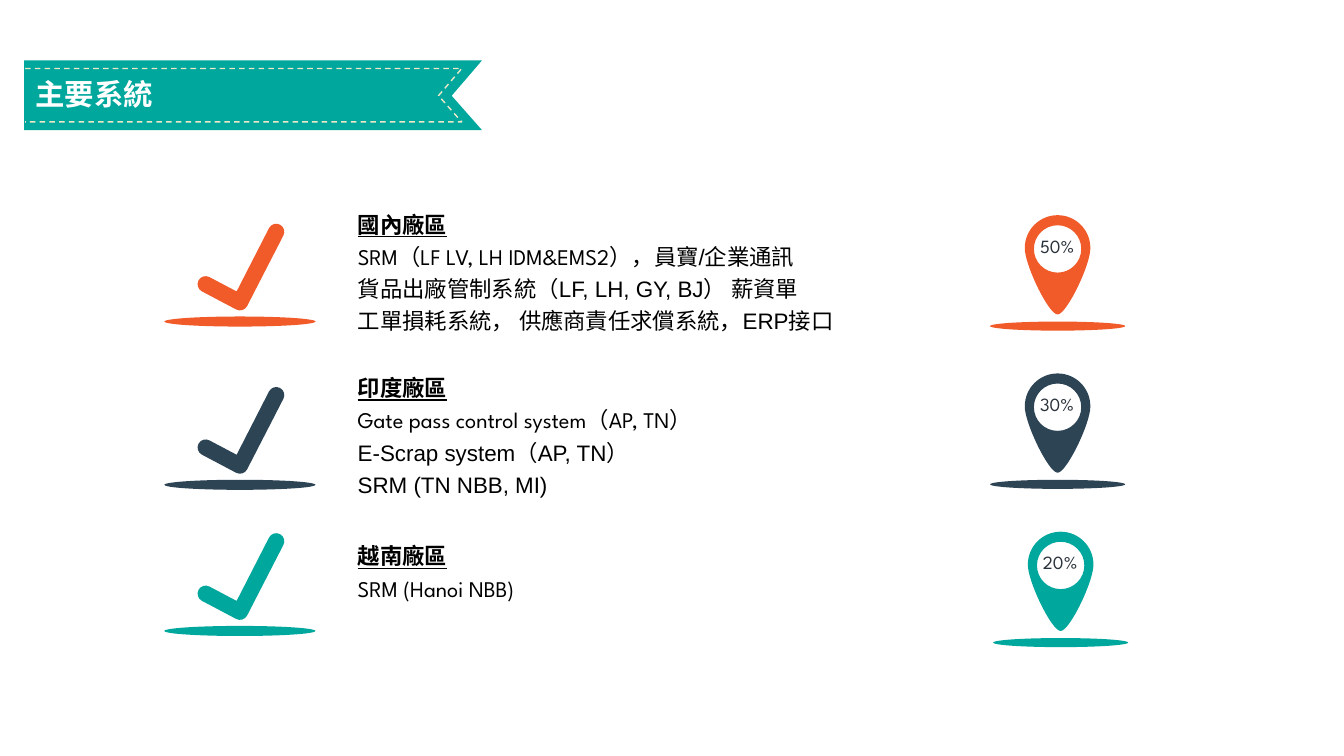
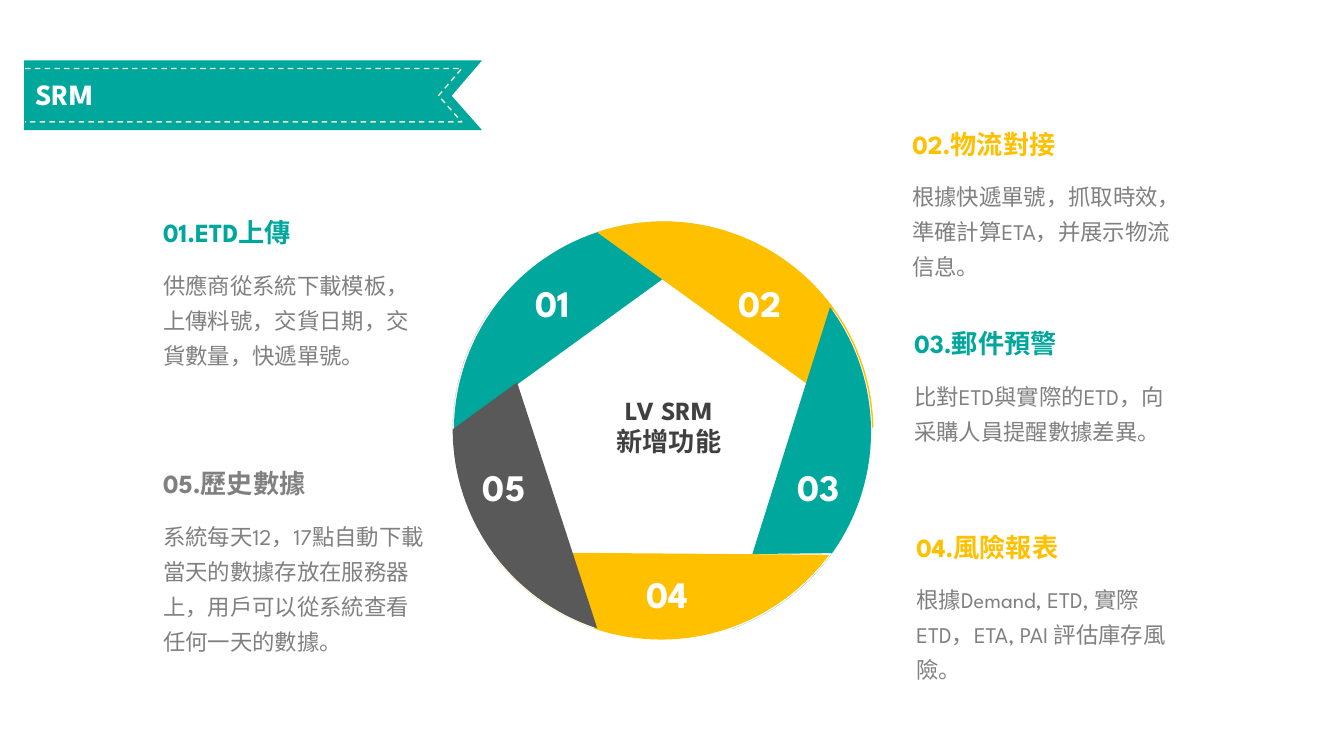
from math import cos, radians, sin, tan

from pptx import Presentation
from pptx.dml.color import RGBColor
from pptx.enum.dml import MSO_LINE
from pptx.enum.shapes import MSO_SHAPE
from pptx.enum.text import MSO_ANCHOR, MSO_AUTO_SIZE, PP_ALIGN
from pptx.oxml.ns import qn
from pptx.util import Emu, Pt

EMU_PER_PX = 9144
TITLE_ONLY = 5
FONT, FONT_PLAIN = "League Spartan", "Arial"
COLORS = {
    "teal": "00A79D",
    "orange": "F15A29",
    "navy": "2D4454",
    "yellow": "FFC000",
    "slate": "595959",
    "gray": "808080",
    "charcoal": "404040",
    "ink": "2A323B",
    "cream": "EDE8C7",
    "black": "000000",
    "white": "FFFFFF",
}


def px(n):
    return Emu(round(n * EMU_PER_PX))


def rgb(name):
    return RGBColor.from_string(COLORS[name])


def polar(cx, cy, radius, angle):
    a = radians(angle)
    return cx + radius * cos(a), cy + radius * sin(a)


def arc(cx, cy, radius, start, end, parts):
    """Start point, then curves of (control, control, end); degrees clockwise."""
    step = (end - start) / parts
    reach = radius * 4 / 3 * tan(radians(step) / 4)
    steps = [polar(cx, cy, radius, start)]
    for i in range(parts):
        a, b = start + i * step, start + (i + 1) * step
        p0, p3 = polar(cx, cy, radius, a), polar(cx, cy, radius, b)
        steps.append((polar(*p0, reach, a + 90), polar(*p3, reach, b - 90), p3))
    return steps


def is_curve(step):
    return isinstance(step[0], tuple)


class Deck:
    def __init__(self):
        self.prs = Presentation()
        self.prs.slide_width, self.prs.slide_height = px(1333), px(750)
        self.layout = self.prs.slide_layouts[TITLE_ONLY]
        title = self.layout.placeholders[0]
        title.left, title.top, title.width, title.height = map(px, (25, 71, 442, 45))
        self.slide = None

    def new_slide(self, title):
        self.slide = self.prs.slides.add_slide(self.layout)
        if len(self.prs.slides) == 1:
            self.add_banner_to_layout()
        tf = self.slide.shapes.title.text_frame
        tf.text = title
        tf.auto_size = MSO_AUTO_SIZE.NONE
        tf.vertical_anchor = MSO_ANCHOR.MIDDLE
        self.format_paragraph(tf.paragraphs[0], 21, "white", bold=True)

    def add_banner_to_layout(self):
        """Draw the ribbon once and move it to the layout, behind all slides."""
        ribbon = self.outline(
            [[(478, 129), (24, 129), (24, 60), (478, 60), (448, 95)]], "teal")
        stitch = self.outline(
            [[(25, 68), (458, 68), (435, 95), (458, 121), (25, 121)]],
            line="cream", close=False)
        stitch.line.dash_style = MSO_LINE.DASH
        for number, sp in enumerate((ribbon, stitch), 20):
            sp.element.nvSpPr.cNvPr.set("id", str(number))
            self.layout.shapes.element.append(sp.element)

    def paint(self, sp, fill=None, line=None):
        sp.shadow.inherit = False
        if fill:
            sp.fill.solid()
            sp.fill.fore_color.rgb = rgb(fill)
        else:
            sp.fill.background()
        if line:
            sp.line.color.rgb = rgb(line)
            sp.line.width = Pt(1)
        else:
            sp.line.fill.background()
        return sp

    def outline(self, contours, fill=None, line=None, close=True):
        """Draw one freeform of points and curves; an inner contour is a hole."""
        builder = None
        for start, *steps in contours:
            start = [px(n) for n in start]
            if builder is None:
                builder = self.slide.shapes.build_freeform(*start, scale=1.0)
            else:
                builder.move_to(*start)
            points = [p for s in steps for p in (s if is_curve(s) else [s])]
            builder.add_line_segments([(px(x), px(y)) for x, y in points], close=close)
        sp = builder.convert_to_shape()
        self.bend(sp, [s for contour in contours for s in contour[1:]])
        return self.paint(sp, fill, line)

    def bend(self, sp, steps):
        """Merge the three segments of each curve into one cubic segment."""
        outline = sp.element.find(".//" + qn("a:path"))
        segments = iter(outline.findall(qn("a:lnTo")))
        for step in steps:
            first = next(segments)
            if is_curve(step):
                first.tag = qn("a:cubicBezTo")
                for _ in range(2):
                    extra = next(segments)
                    first.append(extra[0])
                    outline.remove(extra)

    def ellipse(self, x, y, w, h, color):
        sp = self.slide.shapes.add_shape(MSO_SHAPE.OVAL, px(x), px(y), px(w), px(h))
        self.paint(sp, color)

    def format_paragraph(self, p, size, color, bold=False, underline=False,
                         align=PP_ALIGN.LEFT, spacing=None):
        p.alignment = align
        if spacing:
            p.line_spacing = spacing
        for r in p.runs:
            r.font.name, r.font.size = FONT, Pt(size)
            r.font.bold, r.font.underline = bold, underline
            r.font.color.rgb = rgb(color)

    def text(self, x, y, w, h, text, size, color, wrap=True, **style):
        tf = self.slide.shapes.add_textbox(px(x), px(y), px(w), px(h)).text_frame
        tf.word_wrap = wrap
        tf.text = text
        self.format_paragraph(tf.paragraphs[0], size, color, **style)
        return tf

    def region(self, y, w, h, heading, lead, rest=""):
        """Underlined heading, then a lead in the main font and the rest plain."""
        tf = self.text(345, y, w, h, heading, 16, "black", bold=True,
                       underline=True, spacing=1.2)
        p = tf.add_paragraph()
        p.add_run().text = lead
        for i, line in enumerate(rest.split("\n")):
            if i:
                p.add_line_break()
            if line:
                p.add_run().text = line
        self.format_paragraph(p, 16, "black", spacing=1.2)
        for r in p.runs[1:]:
            r.font.name = FONT_PLAIN

    def check_mark(self, y, color):
        r = 8
        tip, elbow, tail = (274, y + 8), (238, y + 78), (204, y + 60)
        inner = (elbow[0] - 0.41 * r, elbow[1] - 1.35 * r)
        self.outline([arc(*tip, r, -152, 28, 2) + arc(*elbow, r, 28, 118, 1)
                      + arc(*tail, r, 118, 298, 2) + [inner]], color)
        self.ellipse(163, y + 92, 150, 10, color)

    def pin(self, cx, y, color, label):
        self.text(cx - 28, y + 15, 55, 33, label, 13.3, "ink", wrap=False,
                  align=PP_ALIGN.CENTER)
        cy, bottom = y + 33, y + 99
        body = arc(cx, cy, 32.5, 180, 360, 2) + [
            ((cx + 33, cy + 16), (cx + 9, bottom), (cx, bottom)),
            ((cx - 9, bottom), (cx - 33, cy + 16), (cx - 32.5, cy))]
        self.outline([body, arc(cx, cy + 1, 23.5, 0, 360, 4)], color)
        self.ellipse(cx - 67, y + 106, 134, 9, color)

    def blade(self, x, y, rotation, color, line=None):
        """One wheel segment with a hairline tip along the rim, then turned."""
        wheel = (656.5, 427.5, 207.5)
        rim = (arc(*wheel, 108, 180, 2) + arc(*wheel, 180, 215, 1)[1:]
               + arc(*wheel, 215, 180, 1)[1:])
        sp = self.outline([rim + [polar(*wheel[:2], 151, 198)]], color, line)
        sp.left, sp.top, sp.rotation = px(x), px(y), rotation

    def feature(self, x, y, h, heading, detail, color):
        self.text(x, y, 283, 42, heading, 18.7, color, bold=True)
        self.text(x, y + 47, 280, h, detail, 16, "gray", spacing=1.3)


def build_systems(deck):
    deck.new_slide("主要系統")
    regions = [
        (199, 509, 172, "國內廠區", "SRM（LF LV, LH IDM&EMS2），",
         "員寶/企業通訊\n貨品出廠管制系統（LF, LH, GY, BJ） 薪資單\n"
         "工單損耗系統， 供應商責任求償系統，ERP接口"),
        (361, 434, 172, "印度廠區", "Gate pass control system（AP, TN）",
         "\nE-Scrap system（AP, TN）\nSRM (TN NBB, MI)"),
        (528, 194, 75, "越南廠區", "SRM (Hanoi NBB)"),
    ]
    for region in regions:
        deck.region(*region)
    for y, color in ((222, "orange"), (384, "navy"), (529, "teal")):
        deck.check_mark(y, color)
    pins = ((1049, "orange", "50%"), (1049, "navy", "30%"), (1052, "teal", "20%"))
    for i, (cx, color, label) in enumerate(pins):
        deck.pin(cx, 213 + 157 * i, color, label)


def build_srm(deck):
    deck.new_slide("SRM")
    blades = [
        (507, 152, 72.1, "teal"),
        (673, 158, 143.9, "yellow", "yellow"),
        (718, 317, 215.5, "teal"),
        (578, 410, 288.5, "yellow"),
        (449, 307, 0, "slate"),
    ]
    for blade in blades:
        deck.blade(*blade)
    numbers = (("01", 497, 273), ("02", 703, 273), ("05", 449, 456),
               ("03", 761, 456), ("04", 611, 562))
    for number, x, y in numbers:
        deck.text(x, y, 102, 55, number, 26.7, "white", bold=True,
                  align=PP_ALIGN.CENTER)
    deck.text(568, 386, 191, 73, "LV SRM\v新增功能", 18.7, "charcoal", bold=True,
              align=PP_ALIGN.CENTER)
    features = [
        (152, 210, 115, "01.ETD上傳",
         "供應商從系統下載模板，上傳料號，交貨日期，交貨數量，快遞單號。", "teal"),
        (152, 459, 150, "05.歷史數據",
         "系統每天12，17點自動下載當天的數據存放在服務器上，用戶可以從系統查看任何一天的數據。",
         "gray"),
        (895, 122, 115, "02.物流對接",
         "根據快遞單號，抓取時效，準確計算ETA，并展示物流信息。", "yellow"),
        (897, 320, 80, "03.郵件預警",
         "比對ETD與實際的ETD，向采購人員提醒數據差異。", "teal"),
        (899, 522, 115, "04.風險報表",
         "根據Demand, ETD, 實際ETD，ETA, PAI 評估庫存風險。", "yellow"),
    ]
    for feature in features:
        deck.feature(*feature)


def main():
    deck = Deck()
    build_systems(deck)
    build_srm(deck)
    deck.prs.save("out.pptx")


if __name__ == "__main__":
    main()
